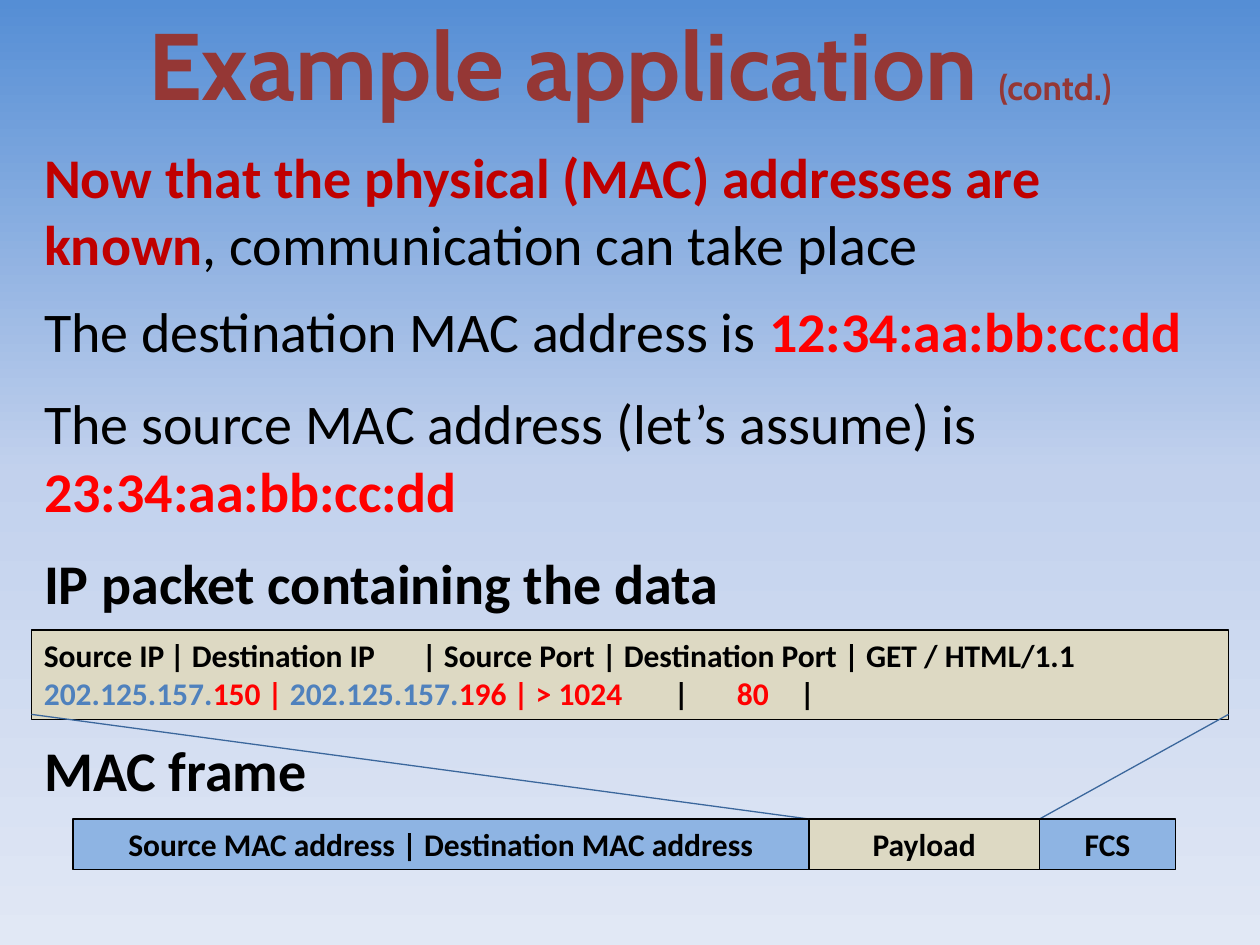
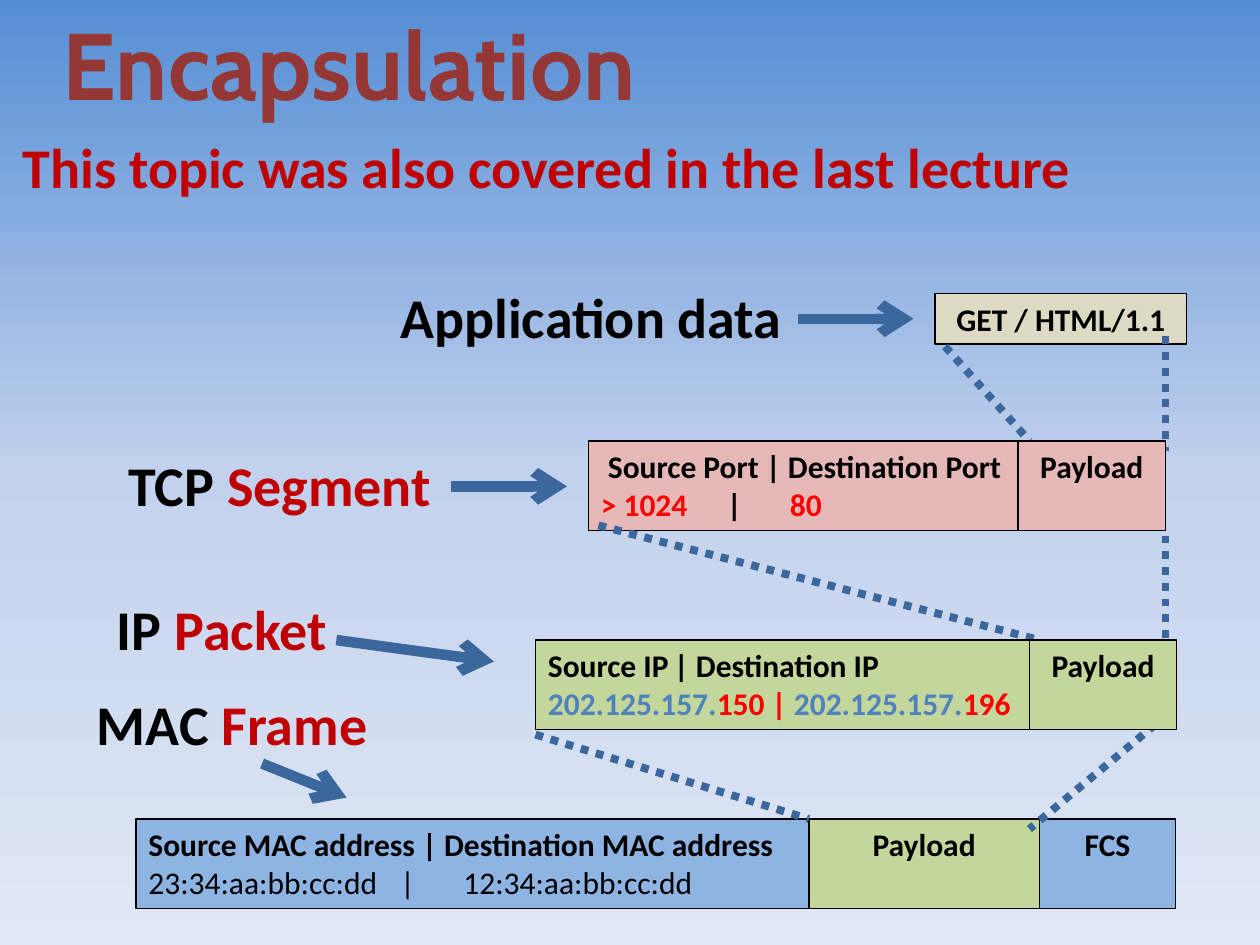
from copy import deepcopy
from dataclasses import dataclass

from lxml.etree import SubElement
from pptx import Presentation
from pptx.dml.color import RGBColor
from pptx.enum.dml import MSO_LINE
from pptx.enum.shapes import MSO_CONNECTOR, MSO_SHAPE
from pptx.enum.text import MSO_ANCHOR, MSO_AUTO_SIZE, PP_ALIGN
from pptx.oxml.ns import qn
from pptx.util import Inches, Pt

BLACK, RED, DARK_RED = "000000", "FF0000", "C00000"
TITLE_BROWN, ADDRESS_BLUE, LINK_BLUE = "953735", "4F81BD", "3B679C"
SAND, PINK, GREEN, BLUE = "DDD9C3", "E6B9B8", "C3D69B", "8EB4E3"
BACKGROUND = [(0, "558ED5"), (0.5, "C2D1ED"), (1, "E1E8F5")]
BODY_FONT, TITLE_FONT = "Calibri", "Cabin"
FIELD_SIZE, BODY_SIZE = 18, 32
ROW_HEIGHT, TALL_ROW = 0.4, 0.71


@dataclass
class Span:
    text: str
    color: str = BLACK
    bold: bool = True
    size: int = None


@dataclass
class Line:
    """One paragraph; stops are tab positions in inches, before is in points."""
    spans: list
    stops: tuple = ()
    before: float = 0


@dataclass
class Field:
    width: float
    fill: str
    lines: list
    align: PP_ALIGN = PP_ALIGN.CENTER


def rgb(color):
    return RGBColor.from_string(color)


def write_lines(frame, lines, size, font=BODY_FONT, align=PP_ALIGN.LEFT):
    frame.word_wrap = True
    frame.auto_size = MSO_AUTO_SIZE.NONE
    frame.vertical_anchor = MSO_ANCHOR.TOP
    for index, line in enumerate(lines):
        para = frame.add_paragraph() if index else frame.paragraphs[0]
        para.alignment = align
        para.space_before = Pt(line.before)
        properties = para._p.get_or_add_pPr()
        properties.set("marL", "0")
        properties.set("indent", "0")
        SubElement(properties, qn("a:buNone"))
        if line.stops:
            tabs = SubElement(properties, qn("a:tabLst"))
            for stop in line.stops:
                SubElement(tabs, qn("a:tab"), pos=str(Inches(stop)), algn="l")
        for span in line.spans:
            run = para.add_run()
            run.text = span.text
            run.font.name = font
            run.font.size = Pt(span.size or size)
            run.font.bold = span.bold
            run.font.color.rgb = rgb(span.color)


def place(shape, left, top, width, height):
    shape.left, shape.top = Inches(left), Inches(top)
    shape.width, shape.height = Inches(width), Inches(height)


def add_page(deck, title_spans, title_width, body_lines, body_box):
    page = deck.slides.add_slide(deck.slide_layouts[1])
    title, body = page.shapes.title, page.placeholders[1]
    place(title, 0, 0, title_width, 1.01)
    write_lines(title.text_frame, [Line(title_spans)], 54, TITLE_FONT, PP_ALIGN.CENTER)
    place(body, *body_box)
    write_lines(body.text_frame, body_lines, BODY_SIZE)
    return page


def add_fields(page, left, top, height, fields):
    """Draw the fields of one packet side by side."""
    for field in fields:
        box = page.shapes.add_shape(
            MSO_SHAPE.RECTANGLE, Inches(left), Inches(top),
            Inches(field.width), Inches(height))
        box.shadow.inherit = False
        box.fill.solid()
        box.fill.fore_color.rgb = rgb(field.fill)
        box.line.color.rgb = rgb(BLACK)
        box.line.width = Pt(0.75)
        write_lines(box.text_frame, field.lines, FIELD_SIZE, align=field.align)
        left += field.width


def add_link(page, start, end, width=0.75, dash=None, arrow=False):
    link = page.shapes.add_connector(
        MSO_CONNECTOR.STRAIGHT, *(Inches(value) for value in start + end))
    link.line.color.rgb = rgb(LINK_BLUE)
    link.line.width = Pt(width)
    if dash:
        link.line.dash_style = dash
    if arrow:
        SubElement(link.line._get_or_add_ln(), qn("a:tailEnd"), type="arrow")
    SubElement(link._element.spPr, qn("a:effectLst"))


def add_dotted_links(page, *ends):
    for start, end in ends:
        add_link(page, start, end, 4.5, MSO_LINE.ROUND_DOT)


def add_layer_label(page, left, top, spans, arrow_start, arrow_end):
    """Name a layer; the arrow's ends are relative to the label's corner."""
    label = page.shapes.add_textbox(
        Inches(left), Inches(top), Inches(3.42), Inches(0.64))
    write_lines(label.text_frame, [Line(spans)], BODY_SIZE)
    start, end = ((left + x, top + y) for x, y in (arrow_start, arrow_end))
    add_link(page, start, end, 6, arrow=True)


def plain(text):
    return [Line([Span(text)])]


def ip_addresses():
    network = "202.125.157."
    return [Span(network, ADDRESS_BLUE), Span("150 | ", RED),
            Span(network, ADDRESS_BLUE), Span("196", RED)]


def paint_background(master):
    fill = master.background.fill
    fill.gradient()
    fill.gradient_angle = 270
    first = master.element.find(".//" + qn("p:bgPr")).find(".//" + qn("a:gs"))
    first.addnext(deepcopy(first))
    for stop, (position, color) in zip(fill.gradient_stops, BACKGROUND):
        stop.position = position
        stop.color.rgb = rgb(color)


def build_example(deck):
    body = [
        Line([Span("Now that the physical (MAC) addresses are known", DARK_RED),
              Span(", communication can take place", bold=False)]),
        Line([Span("The destination MAC address is ", bold=False),
              Span("12:34:aa:bb:cc:dd", RED)], before=11),
        Line([Span("The source MAC address (let’s assume) is ", bold=False),
              Span("23:34:aa:bb:cc:dd", RED)], before=14.6),
        Line([Span("IP packet containing the data")], before=14.6),
        Line([Span("MAC frame")], before=68),
    ]
    title = [Span("Example application ", TITLE_BROWN),
             Span("(contd.)", TITLE_BROWN, size=20)]
    page = add_page(deck, title, 10, body, (0.25, 1.08, 9.58, 5.77))

    packet = [
        Line([Span("Source IP\t| Destination IP\t| Source Port | "
                   "Destination Port | GET / HTML/1.1")], (1.81, 3.77)),
        Line(ip_addresses() + [Span(" | > 1024", RED), Span("\t|"),
                               Span("\t80", RED), Span("\t|")],
             (5.21, 6.13, 7.12)),
    ]
    add_fields(page, 0.25, 5, TALL_ROW, [Field(9.5, SAND, packet, PP_ALIGN.LEFT)])
    add_link(page, (0.25, 5.67), (6.42, 6.5))
    add_link(page, (9.75, 5.67), (8.25, 6.5))
    add_fields(page, 0.58, 6.5, ROW_HEIGHT, [
        Field(5.84, BLUE, plain("Source MAC address | Destination MAC address")),
        Field(1.83, SAND, plain("Payload")),
        Field(1.08, BLUE, plain("FCS")),
    ])


def build_encapsulation(deck):
    body = [Line([Span("This topic was also covered in the last lecture", DARK_RED)])]
    page = add_page(deck, [Span("Encapsulation", TITLE_BROWN)], 5.54,
                    body, (0.08, 1, 9.92, 0.99))

    frame_header = [
        Line([Span("Source MAC address | Destination MAC address")]),
        Line([Span("23:34:aa:bb:cc:dd\t|\t12:34:aa:bb:cc:dd", bold=False)],
             (2.16, 2.67)),
    ]
    segment_header = [
        Line([Span(" Source Port | Destination Port")]),
        Line([Span("> 1024", RED), Span("\t|"), Span("\t80", RED)], (1.31, 2.21)),
    ]
    packet_header = [
        Line([Span("Source IP\t| Destination IP")], (1.81,)),
        Line(ip_addresses()),
    ]
    payload = plain("Payload")

    add_fields(page, 7.42, 2.33, ROW_HEIGHT, [Field(2, SAND, plain("GET / HTML/1.1"))])
    add_fields(page, 1.08, 6.5, TALL_ROW, [
        Field(5.34, BLUE, frame_header, PP_ALIGN.LEFT),
        Field(1.83, GREEN, payload),
        Field(1.08, BLUE, plain("FCS")),
    ])
    add_dotted_links(page, ((4.25, 5.83), (6.42, 6.5)), ((9.17, 5.75), (8.17, 6.58)),
                     ((7.5, 2.75), (8.17, 3.5)), ((9.25, 2.67), (9.25, 3.58)))
    add_fields(page, 4.67, 3.5, TALL_ROW, [
        Field(3.41, PINK, segment_header, PP_ALIGN.LEFT),
        Field(1.17, PINK, payload),
    ])
    add_dotted_links(page, ((4.75, 4.17), (8.25, 5.08)), ((9.25, 4.25), (9.25, 5.08)))
    add_fields(page, 4.25, 5.08, TALL_ROW, [
        Field(3.92, GREEN, packet_header, PP_ALIGN.LEFT),
        Field(1.17, GREEN, payload),
    ])

    add_layer_label(page, 3.08, 2.19, [Span("Application data")],
                    (3.25, 0.34), (4.17, 0.34))
    for left, top, layer, unit, start, end in [
        (0.92, 3.53, "TCP ", "Segment", (2.66, 0.33), (3.58, 0.33)),
        (0.67, 5.42, "MAC ", "Frame", (1.41, 0.64), (2.08, 0.91)),
        (0.83, 4.67, "IP ", "Packet", (1.84, 0.41), (3.09, 0.58)),
    ]:
        add_layer_label(page, left, top, [Span(layer), Span(unit, DARK_RED)], start, end)


def main():
    deck = Presentation()
    deck.slide_width, deck.slide_height = Inches(10), Inches(7.5)
    paint_background(deck.slide_master)
    build_example(deck)
    build_encapsulation(deck)
    deck.save("out.pptx")


if __name__ == "__main__":
    main()
